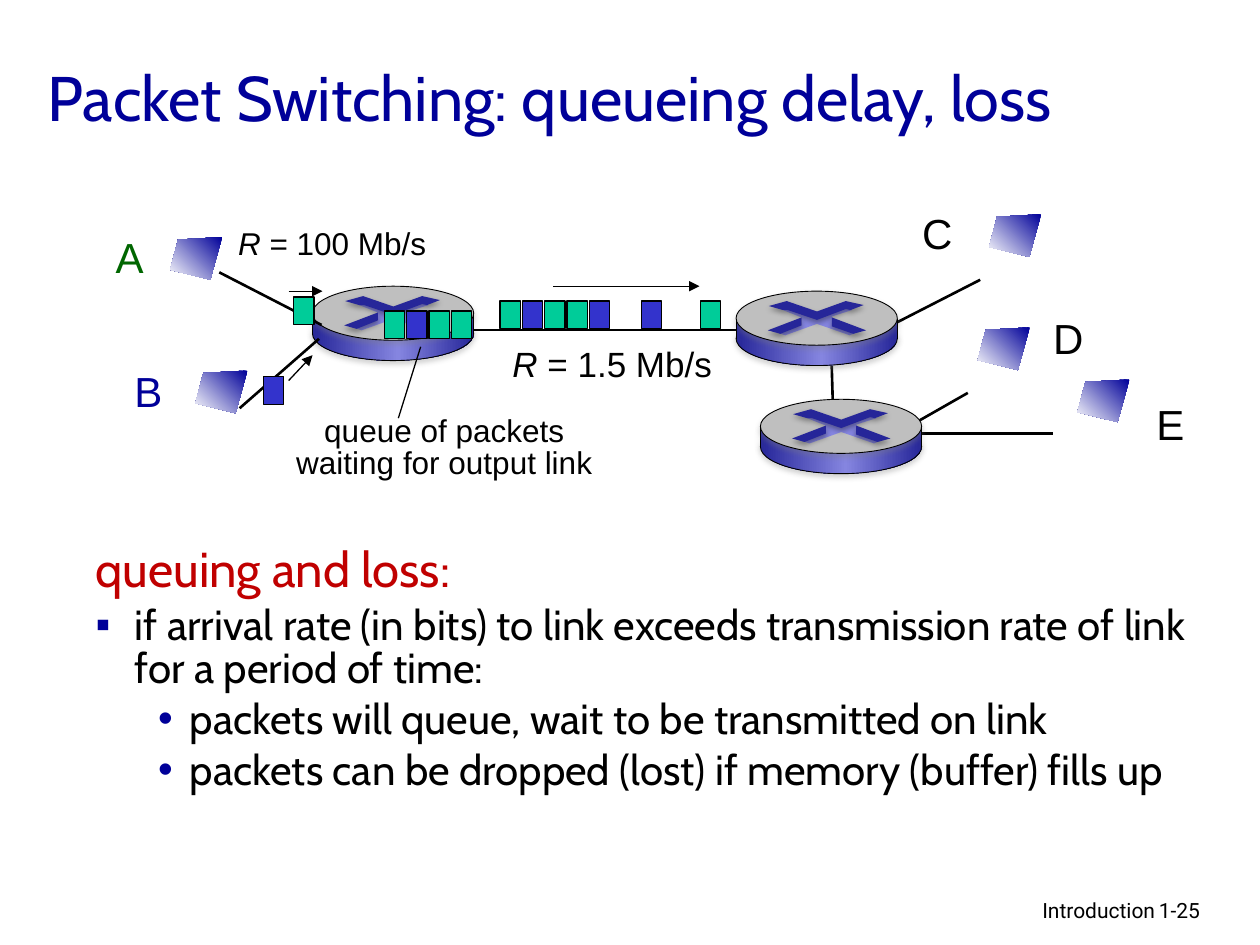
from copy import deepcopy
from dataclasses import dataclass

from lxml.etree import SubElement
from pptx import Presentation
from pptx.dml.color import RGBColor
from pptx.enum.shapes import MSO_CONNECTOR, MSO_SHAPE
from pptx.enum.text import MSO_ANCHOR, MSO_AUTO_SIZE, PP_ALIGN
from pptx.oxml.ns import qn
from pptx.util import Cm, Pt


@dataclass(frozen=True)
class Theme:
    navy: str = "000099"
    green: str = "006600"
    red: str = "C00000"
    black: str = "000000"
    white: str = "FFFFFF"
    packet_green: str = "00CC99"
    packet_blue: str = "3333CC"
    router_dark: str = "262699"
    router_light: str = "8585E0"
    router_top: str = "BFBFBF"
    shadow_gray: str = "808080"
    heading_font: str = "Cabin"
    label_font: str = "Arial"
    footer_font: str = "Roboto"
    title_size: int = 36
    heading_size: int = 28
    body_size: int = 24
    rate_size: int = 20
    note_size: int = 18
    footer_size: int = 12


HUB = [(1.63, 0.66), (0.99, 0.89), (0.84, 0.84), (1.32, 0.69), (1.32, 0.53),
       (0.94, 0.38), (1.07, 0.36), (1.63, 0.56), (2.18, 0.33), (2.34, 0.38),
       (1.93, 0.51), (2.01, 0.71), (2.41, 0.84), (2.29, 0.89)]
UPPER_ARROWS = [(0.66, 0.3), (1.02, 0.2), (1.63, 0.41), (2.21, 0.2), (2.57, 0.28),
                (2.31, 0.38), (2.21, 0.36), (1.63, 0.58), (1.04, 0.38), (0.94, 0.38)]
RIGHT_ARROW = [(1.93, 0.53), (2.62, 0.79), (2.36, 0.86), (1.93, 0.71)]
LEFT_ARROW = [(1.32, 0.53), (1.32, 0.69), (0.89, 0.86), (0.64, 0.79)]
SCREEN = [(1.05, 0), (0.16, 0.05), (0, 0.66), (0.81, 0.86)]


class SlideBuilder:
    def __init__(self, slide, theme):
        self.slide = slide
        self.theme = theme

    def paint(self, shape, fill, line_width=0, angle=0):
        if isinstance(fill, str):
            shape.fill.solid()
            shape.fill.fore_color.rgb = RGBColor.from_string(fill)
        else:
            shape.fill.gradient()
            shape.fill.gradient_angle = angle
            stop_list = shape._element.spPr.find(".//" + qn("a:gsLst"))
            while len(stop_list) < len(fill):
                stop_list.append(deepcopy(stop_list[0]))
            for stop, (position, color) in zip(shape.fill.gradient_stops, fill):
                stop.position = position
                stop.color.rgb = RGBColor.from_string(color)
        if line_width:
            shape.line.color.rgb = RGBColor.from_string(self.theme.black)
            shape.line.width = Pt(line_width)
        else:
            shape.line.fill.background()
        shape.shadow.inherit = False

    def cast_shadow(self, shape, color, opacity=35):
        effects = shape._element.spPr.find(qn("a:effectLst"))
        outer = SubElement(effects, qn("a:outerShdw"), blurRad=str(Pt(3.1)),
                           dist=str(Pt(1.8)), dir="5400000", rotWithShape="0")
        tone = SubElement(outer, qn("a:srgbClr"), val=color)
        SubElement(tone, qn("a:alpha"), val=str(opacity * 1000))

    def preset(self, kind, box, fill, line_width=0, into=None):
        shapes = into or self.slide.shapes
        shape = shapes.add_shape(kind, *map(Cm, box))
        self.paint(shape, fill, line_width)
        return shape

    def outline(self, left, top, points, fill, angle=0, into=None):
        shapes = into or self.slide.shapes
        corners = [(Cm(left + x), Cm(top + y)) for x, y in points]
        builder = shapes.build_freeform(*corners[0])
        builder.add_line_segments(corners[1:], close=True)
        shape = builder.convert_to_shape()
        self.paint(shape, fill, angle=angle)
        return shape

    def line(self, ends, width, arrow=False, into=None):
        shapes = into or self.slide.shapes
        connector = shapes.add_connector(MSO_CONNECTOR.STRAIGHT, *map(Cm, ends))
        connector.line.color.rgb = RGBColor.from_string(self.theme.black)
        connector.line.width = Pt(width)
        if arrow:
            SubElement(connector.line._get_or_add_ln(), qn("a:tailEnd"), type="triangle")
        SubElement(connector._element.spPr, qn("a:effectLst"))
        return connector

    def packets(self, left, top, colors, step=0.45):
        for index, color in enumerate(colors):
            self.preset(MSO_SHAPE.RECTANGLE, (left + index * step, top, 0.41, 0.56), color, 0.75)

    def screen(self, left, top):
        blend = [(0, self.theme.navy), (1, self.theme.white)]
        self.outline(left, top, SCREEN, blend, angle=225)

    def router(self, left, top):
        theme = self.theme
        parts = self.slide.shapes.add_group_shape().shapes
        sheen = [(0, theme.router_dark), (0.53, theme.router_light), (1, theme.router_dark)]
        base = self.preset(MSO_SHAPE.OVAL, (left, top + 0.41, 3.25, 1.09), sheen, 0.5, parts)
        self.preset(MSO_SHAPE.RECTANGLE, (left, top + 0.56, 3.25, 0.38), sheen, into=parts)
        lid = self.preset(MSO_SHAPE.OVAL, (left, top, 3.25, 1.09), theme.router_top, 0.5, parts)
        for disc in (base, lid):
            self.cast_shadow(disc, theme.shadow_gray)
        self.outline(left, top, HUB, theme.router_light, into=parts)
        for points in (UPPER_ARROWS, RIGHT_ARROW, LEFT_ARROW):
            arrow = self.outline(left, top, points, theme.router_dark, into=parts)
            self.cast_shadow(arrow, theme.black)
        for x in (left, left + 3.25):
            side = self.line((x, top + 0.97, x, top + 0.56), 0.5, into=parts)
            self.cast_shadow(side, theme.shadow_gray, 38)

    def style(self, paragraph, font, size, color):
        paragraph.font.name = font
        paragraph.font.size = Pt(size)
        paragraph.font.color.rgb = RGBColor.from_string(color)

    def title(self, wording, box):
        heading = self.slide.shapes.title
        heading.left, heading.top, heading.width, heading.height = map(Cm, box)
        heading.text_frame.vertical_anchor = MSO_ANCHOR.MIDDLE
        paragraph = heading.text_frame.paragraphs[0]
        paragraph.text = wording
        paragraph.alignment = PP_ALIGN.LEFT
        self.style(paragraph, self.theme.heading_font, self.theme.title_size, self.theme.navy)

    def frame(self, box, wrap=True):
        frame = self.slide.shapes.add_textbox(*map(Cm, box)).text_frame
        frame.word_wrap = wrap
        return frame

    def label(self, lines, box, size, color=None, font=None, align=PP_ALIGN.LEFT,
              symbol="", wrap=False, spacing=None):
        frame = self.frame(box, wrap)
        frame.auto_size = MSO_AUTO_SIZE.SHAPE_TO_FIT_TEXT
        for index, wording in enumerate(lines):
            paragraph = frame.add_paragraph() if index else frame.paragraphs[0]
            paragraph.alignment = align
            paragraph.line_spacing = spacing
            if symbol:
                variable = paragraph.add_run()
                variable.text = symbol
                variable.font.italic = True
            paragraph.add_run().text = wording
            self.style(paragraph, font or self.theme.label_font, size, color or self.theme.black)

    def outline_text(self, items, box):
        frame = self.frame(box)
        for index, (wording, level, bullet, margin, hanging, size, color) in enumerate(items):
            paragraph = frame.add_paragraph() if index else frame.paragraphs[0]
            paragraph.text = wording
            paragraph.level = level
            properties = paragraph._p.get_or_add_pPr()
            properties.set("marL", str(Cm(margin)))
            properties.set("indent", str(-Cm(hanging)))
            if bullet:
                bullet_color = SubElement(properties, qn("a:buClr"))
                SubElement(bullet_color, qn("a:srgbClr"), val=self.theme.navy)
                SubElement(properties, qn("a:buFont"), typeface=self.theme.label_font)
                SubElement(properties, qn("a:buChar"), char=bullet)
            paragraph.line_spacing = 0.85
            paragraph.space_before = Pt(0.2 * size if index else 0)
            self.style(paragraph, self.theme.heading_font, size, color)


def main():
    theme = Theme()
    deck = Presentation()
    deck.slide_width, deck.slide_height = Cm(25.4), Cm(19.05)
    page = SlideBuilder(deck.slides.add_slide(deck.slide_layouts[5]), theme)
    page.title("Packet Switching: queueing delay, loss", (0.71, 0.36, 23.47, 3.18))

    page.router(6.3, 5.77)
    for link in [(4.42, 5.49, 6.48, 6.55), (4.83, 8.23, 6.43, 6.83), (9.53, 6.65, 15.14, 6.65),
                 (16.79, 8.18, 16.76, 7.16), (18.08, 6.5, 19.76, 5.64),
                 (18.52, 8.74, 21.23, 8.74), (19.51, 7.92, 18.44, 8.53)]:
        page.line(link, 1.5)

    green, blue = theme.packet_green, theme.packet_blue
    for left, top, colors in [(10.08, 6.07, [green, blue, green, green, blue]),
                              (12.93, 6.07, [blue]), (14.12, 6.07, [green]),
                              (7.75, 6.27, [green, blue, green, green]),
                              (5.92, 5.99, [green]), (5.31, 7.59, [blue])]:
        page.packets(left, top, colors)
    for flow in [(5.82, 5.87, 6.5, 5.87), (5.82, 7.67, 6.3, 7.16), (11.15, 5.77, 14.1, 5.77)]:
        page.line(flow, 0.75, arrow=True)

    for host, left, top, color in [("A", 2.08, 4.55, theme.green), ("B", 2.46, 7.24, theme.navy),
                                   ("C", 18.34, 4.06, theme.black), ("D", 20.98, 6.17, theme.black),
                                   ("E", 23.06, 7.9, theme.black)]:
        page.label([host], (left, top, 1.07, 1.27), theme.body_size, color)
    page.label([" = 100 Mb/s"], (4.55, 4.39, 4.34, 1.02), theme.note_size, symbol="R")
    page.label([" = 1.5 Mb/s"], (10.08, 6.78, 4.57, 1.12), theme.rate_size, symbol="R")
    page.label(["queue of packets", "waiting for output link"], (5.69, 8.28, 6.53, 1.57),
               theme.note_size, align=PP_ALIGN.CENTER, wrap=True, spacing=0.85)
    page.line((8.03, 8.43, 8.48, 6.99), 0.75)

    for left, top in [(3.43, 4.78), (3.94, 7.47), (19.94, 4.32), (19.71, 6.6), (21.72, 7.65)]:
        page.screen(left, top)
    page.router(15.33, 8.05)
    page.router(14.84, 5.87)

    body = (theme.body_size, theme.black)
    page.outline_text([
        ("queuing and loss:", 0, "", 0.95, 0.95, theme.heading_size, theme.red),
        ("if arrival rate (in bits) to link exceeds transmission rate of link "
         "for a period of time:", 0, "▪", 0.79, 0.79, *body),
        ("packets will queue, wait to be transmitted on link", 1, "•", 1.9, 0.64, *body),
        ("packets can be dropped (lost) if memory (buffer) fills up", 1, "•", 1.9, 0.64, *body),
    ], (1.68, 10.92, 22.58, 5.64))

    page.label(["Introduction"], (15.49, 17.96, 8.05, 0.79), theme.footer_size,
               font=theme.footer_font, align=PP_ALIGN.RIGHT, wrap=True)
    page.label(["1-25"], (23.11, 17.96, 1.88, 0.76), theme.footer_size,
               font=theme.footer_font, wrap=True)
    deck.save("out.pptx")


if __name__ == "__main__":
    main()
